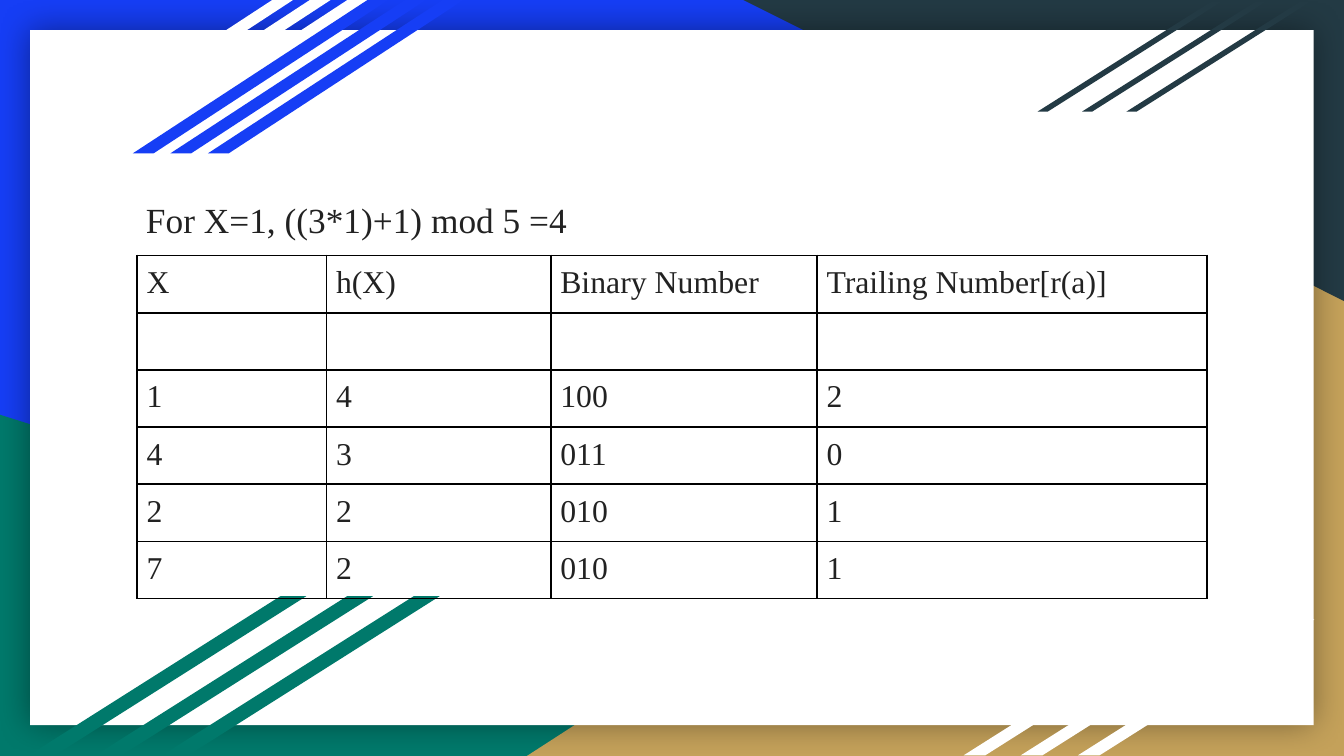
from dataclasses import dataclass

from lxml.etree import SubElement
from pptx import Presentation
from pptx.dml.color import RGBColor
from pptx.enum.shapes import MSO_SHAPE
from pptx.enum.text import MSO_ANCHOR, PP_ALIGN
from pptx.oxml.ns import qn
from pptx.util import Cm, Pt


@dataclass(frozen=True)
class Theme:
    blue: str = "163EF5"
    green: str = "00796B"
    tan: str = "C4A15A"
    slate: str = "233A44"
    white: str = "FFFFFF"
    black: str = "000000"
    text: str = "222222"
    font: str = "Times New Roman"
    body_size: float = 18.9
    table_size: float = 17


class SlideBuilder:
    """Draw styled elements on one slide."""

    def __init__(self, slide, theme):
        self.slide = slide
        self.theme = theme

    def background(self, color):
        fill = self.slide.background.fill
        fill.solid()
        fill.fore_color.rgb = RGBColor.from_string(color)

    def shape(self, kind, box, color):
        shape = self.slide.shapes.add_shape(kind, *map(Cm, box))
        shape.shadow.inherit = False
        shape.fill.solid()
        shape.fill.fore_color.rgb = RGBColor.from_string(color)
        shape.line.fill.background()
        return shape

    def corner(self, box, color, rotation=0, mirrored=False):
        triangle = self.shape(MSO_SHAPE.RIGHT_TRIANGLE, box, color)
        triangle.rotation = rotation
        if mirrored:
            triangle.element.spPr.find(qn("a:xfrm")).set("flipH", "1")

    def card(self, box):
        card = self.shape(MSO_SHAPE.RECTANGLE, box, self.theme.white)
        effects = card.element.spPr.find(qn("a:effectLst"))
        shadow = SubElement(effects, qn("a:outerShdw"), blurRad=str(Pt(18)),
                            dist="0", dir="0", algn="ctr", rotWithShape="0")
        color = SubElement(shadow, qn("a:srgbClr"), val=self.theme.black)
        SubElement(color, qn("a:alpha"), val="40000")

    def stripes(self, box, step, slant, color):
        left, top, width, height = box
        for index in reversed(range(3)):
            stripe_box = (left + index * step, top, width, height)
            stripe = self.shape(MSO_SHAPE.PARALLELOGRAM, stripe_box, color)
            stripe.adjustments[0] = slant

    def style(self, paragraph, size):
        paragraph.font.name = self.theme.font
        paragraph.font.size = Pt(size)
        paragraph.font.color.rgb = RGBColor.from_string(self.theme.text)

    def text(self, box, content):
        frame = self.slide.shapes.add_textbox(*map(Cm, box)).text_frame
        frame.word_wrap = True
        frame.vertical_anchor = MSO_ANCHOR.TOP
        frame.margin_left = frame.margin_right = Cm(0.25)
        frame.margin_top = frame.margin_bottom = Cm(0.25)
        paragraph = frame.paragraphs[0]
        paragraph.text = content
        paragraph.alignment = PP_ALIGN.JUSTIFY
        paragraph.line_spacing = 1.5
        self.style(paragraph, self.theme.body_size)

    def cell(self, cell, content):
        cell.margin_left = cell.margin_right = Cm(0.18)
        cell.margin_top = cell.margin_bottom = Cm(0.18)
        paragraph = cell.text_frame.paragraphs[0]
        paragraph.text = content
        self.style(paragraph, self.theme.table_size)
        if not content:
            SubElement(paragraph._p, qn("a:endParaRPr"),
                       sz=str(int(self.theme.table_size * 100)))
        properties = cell._tc.get_or_add_tcPr()
        for side in ("lnL", "lnR", "lnT", "lnB"):
            border = SubElement(properties, qn(f"a:{side}"), w=str(Pt(1)))
            fill = SubElement(border, qn("a:solidFill"))
            SubElement(fill, qn("a:srgbClr"), val=self.theme.black)
        cell.fill.background()

    def table(self, left, top, widths, row_height, rows):
        table = self.slide.shapes.add_table(
            len(rows), len(widths), Cm(left), Cm(top),
            Cm(sum(widths)), Cm(row_height * len(rows))).table
        table.first_row = table.horz_banding = False
        for column, width in zip(table.columns, widths):
            column.width = Cm(width)
        for row, values in zip(table.rows, rows):
            row.height = Cm(row_height)
            for cell, value in zip(row.cells, values):
                self.cell(cell, value)


def main():
    theme = Theme()
    presentation = Presentation()
    presentation.slide_width = Cm(25.4)
    presentation.slide_height = Cm(14.29)
    slide = presentation.slides.add_slide(presentation.slide_layouts[6])
    builder = SlideBuilder(slide, theme)

    builder.background(theme.blue)
    builder.corner((0, 7.84, 20.47, 6.45), theme.green)
    builder.corner((9.96, 4.31, 15.44, 9.98), theme.tan, mirrored=True)
    builder.corner((14.05, 0, 11.35, 5.69), theme.slate, rotation=180)
    builder.card((0.57, 0.57, 24.26, 13.14))

    builder.stripes((0.71, 0, 4.83, 2.9), 0.71, 1.53, theme.white)
    builder.stripes((2.51, 0, 4.83, 2.9), 0.71, 1.53, theme.blue)
    builder.stripes((19.61, 0.03, 3.48, 2.08), 0.84, 1.58, theme.slate)
    builder.stripes((18.21, 11.71, 4.47, 2.57), 1.08, 1.58, theme.white)
    builder.stripes((0.56, 11.27, 5.23, 3), 1.26, 1.58, theme.green)

    builder.text((2.51, 3.1, 20.85, 9.88), "For X=1, ((3*1)+1) mod 5 =4")
    builder.table(2.59, 4.83, (3.58, 4.24, 5.03, 7.37), 1.06, (
        ("X", "h(X)", "Binary Number", "Trailing Number[r(a)]"),
        ("", "", "", ""),
        ("1", "4", "100", "2"),
        ("4", "3", "011", "0"),
        ("2", "2", "010", "1"),
        ("7", "2", "010", "1"),
    ))
    presentation.save("out.pptx")


if __name__ == "__main__":
    main()
